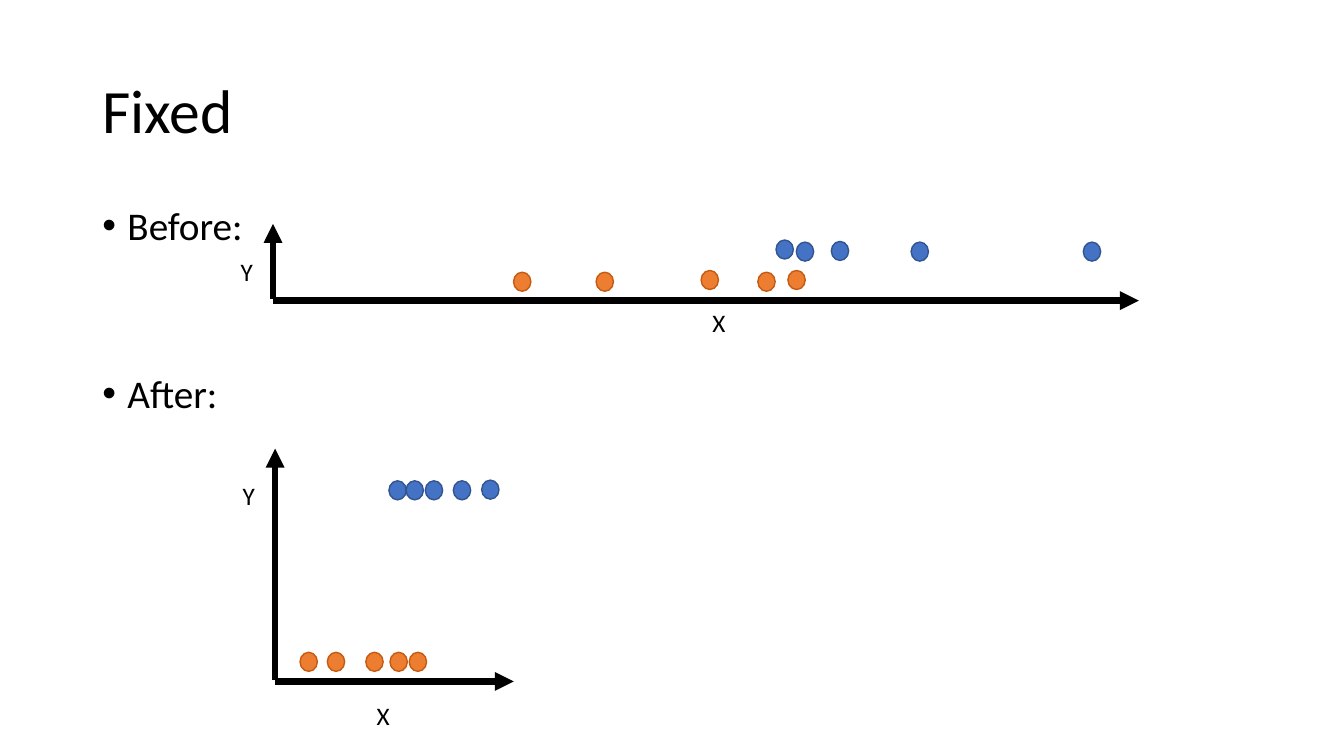
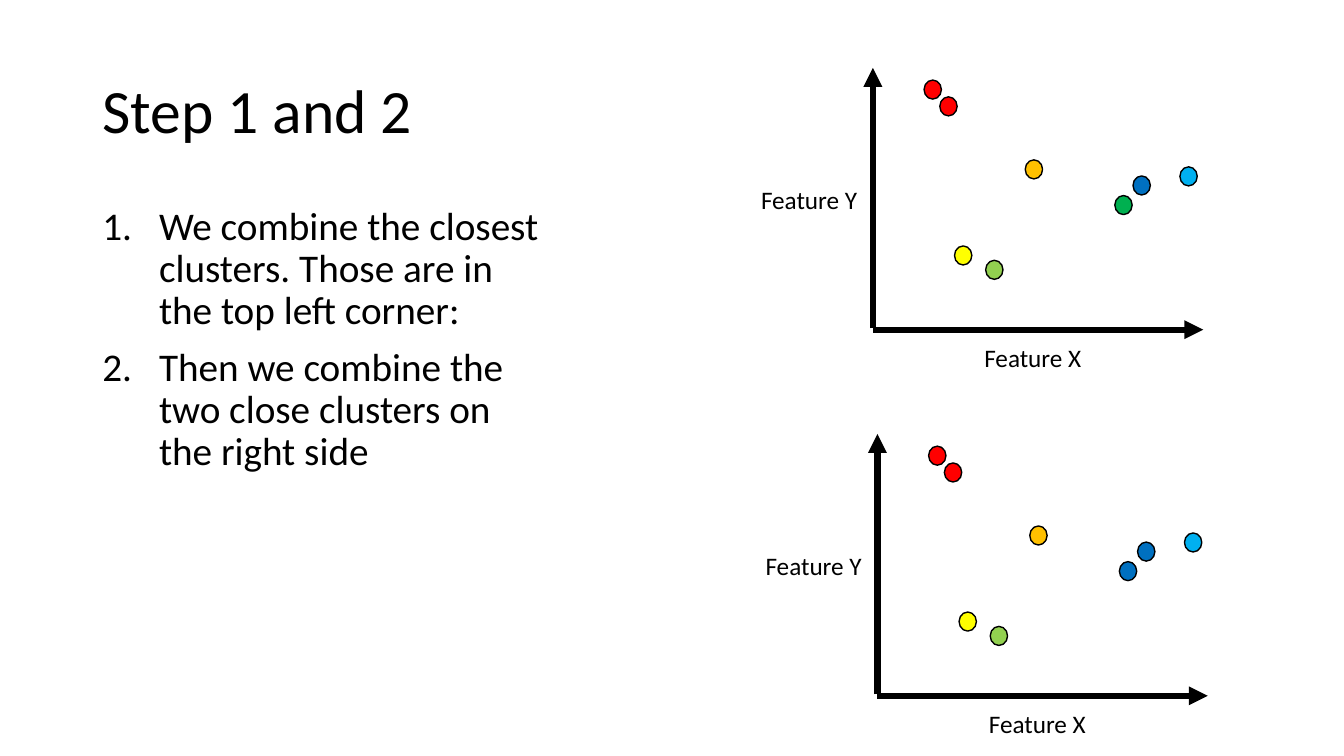
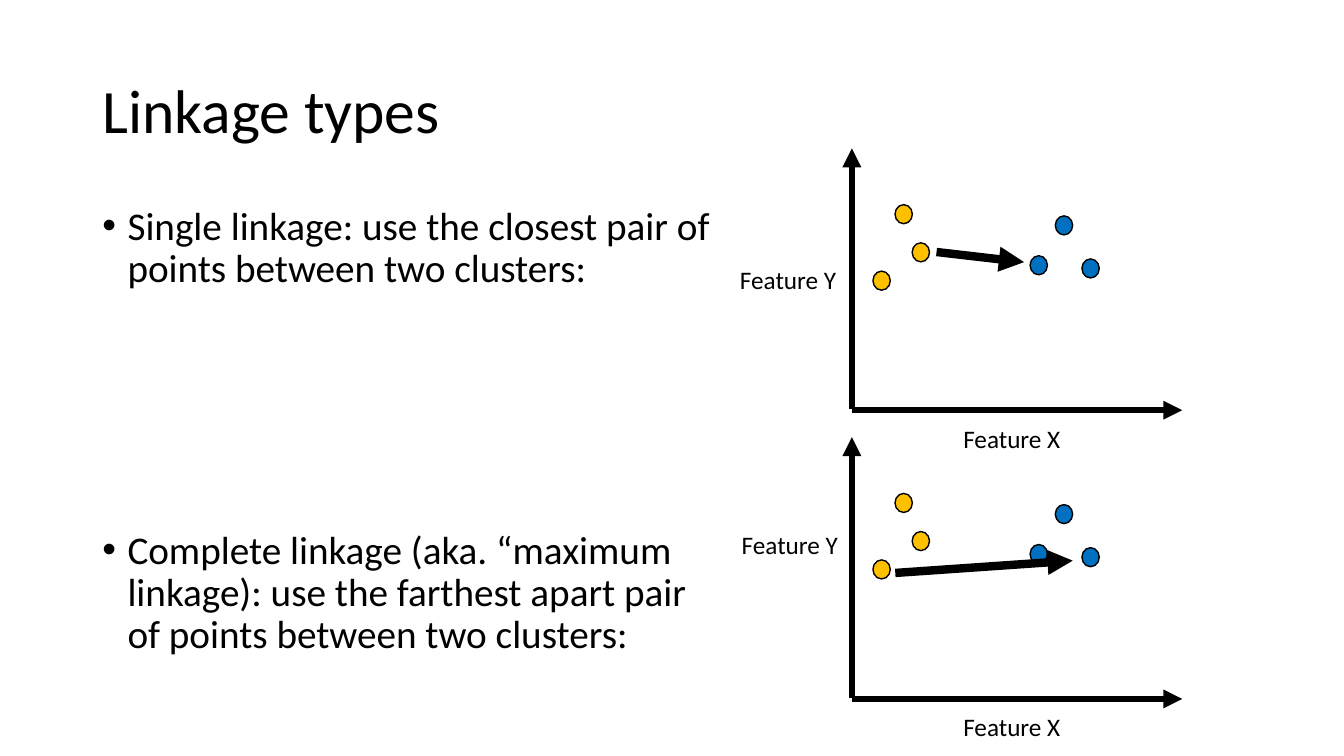
from dataclasses import dataclass

from lxml.etree import SubElement
from pptx import Presentation
from pptx.dml.color import RGBColor
from pptx.enum.shapes import MSO_CONNECTOR, MSO_SHAPE
from pptx.enum.text import MSO_ANCHOR
from pptx.oxml.ns import qn
from pptx.util import Pt

FONT = "Calibri"
BLACK = RGBColor(0x00, 0x00, 0x00)
RED = RGBColor(0xFF, 0x00, 0x00)
AMBER = RGBColor(0xFF, 0xC0, 0x00)
YELLOW = RGBColor(0xFF, 0xFF, 0x00)
LIME = RGBColor(0x92, 0xD0, 0x50)
GREEN = RGBColor(0x00, 0xB0, 0x50)
SKY = RGBColor(0x00, 0xB0, 0xF0)
BLUE = RGBColor(0x00, 0x70, 0xC0)
SOFT_BLUE = RGBColor(0x44, 0x72, 0xC4)
SOFT_BLUE_EDGE = RGBColor(0x32, 0x54, 0x91)
ORANGE = RGBColor(0xED, 0x7D, 0x31)
ORANGE_EDGE = RGBColor(0xC5, 0x5A, 0x11)

DOT_WIDTH, DOT_HEIGHT = 12.4, 13.6
AXIS_WEIGHT, LINK_WEIGHT = 4.5, 6
BODY_GAP = 10
BULLET = ("buChar", {"char": "•"}, 18)
NUMBER = ("buAutoNum", {"type": "arabicPeriod"}, 40.5)


@dataclass
class Plot:
    left: float
    base: float
    width: float = 236
    height: float = 187
    x_name: str = "Feature X"
    y_name: str = "Feature Y"
    x_label: tuple = (72.5, -5.5)
    y_label: tuple = (-87, 107.5)

    def place(self, point):
        return self.left + point[0], self.base - point[1]


def add_text_box(slide, left, top, width, height):
    box = slide.shapes.add_textbox(Pt(left), Pt(top), Pt(width), Pt(height))
    box.text_frame.word_wrap = True
    return box.text_frame


def add_run(paragraph, text, size):
    run = paragraph.add_run()
    run.text = text
    run.font.name = FONT
    run.font.size = Pt(size)
    run.font.color.rgb = BLACK


def add_title(slide, text):
    frame = add_text_box(slide, 66, 28.75, 828, 104.4)
    frame.vertical_anchor = MSO_ANCHOR.MIDDLE
    paragraph = frame.paragraphs[0]
    paragraph.line_spacing = 0.9
    add_run(paragraph, text, 44)


def add_list(slide, width, marker, items):
    tag, attributes, indent = marker
    frame = add_text_box(slide, 66, 143.75, width, 342.6)
    for index, (text, gap) in enumerate(items):
        paragraph = frame.add_paragraph() if index else frame.paragraphs[0]
        paragraph.line_spacing = 0.9
        paragraph.space_before = Pt(gap)
        properties = paragraph._p.get_or_add_pPr()
        properties.set("marL", str(Pt(indent)))
        properties.set("indent", str(-Pt(indent)))
        if marker is BULLET:
            SubElement(properties, qn("a:buFont"), typeface="Arial")
        SubElement(properties, qn("a:" + tag), attributes)
        add_run(paragraph, text, 28)


def add_arrow(slide, start, end, weight):
    points = [Pt(value) for value in (*start, *end)]
    arrow = slide.shapes.add_connector(MSO_CONNECTOR.STRAIGHT, *points)
    arrow.line.color.rgb = BLACK
    arrow.line.width = Pt(weight)
    SubElement(arrow.line._get_or_add_ln(), qn("a:tailEnd"), type="triangle")
    SubElement(arrow._element.spPr, qn("a:effectLst"))


def add_dots(slide, plot, points, fill, edge=BLACK):
    for point in points:
        x, y = plot.place(point)
        dot = slide.shapes.add_shape(
            MSO_SHAPE.OVAL, Pt(x - DOT_WIDTH / 2), Pt(y - DOT_HEIGHT / 2),
            Pt(DOT_WIDTH), Pt(DOT_HEIGHT))
        dot.shadow.inherit = False
        dot.fill.solid()
        dot.fill.fore_color.rgb = fill
        dot.line.color.rgb = edge
        dot.line.width = Pt(1)


def add_axes(slide, plot):
    origin = plot.place((0, 0))
    add_arrow(slide, origin, plot.place((plot.width, 0)), AXIS_WEIGHT)
    add_arrow(slide, plot.place((0, 1)), plot.place((0, plot.height)), AXIS_WEIGHT)
    for name, position, width in ((plot.x_name, plot.x_label, 159),
                                  (plot.y_name, plot.y_label, 93)):
        frame = add_text_box(slide, *plot.place(position), width, 29)
        add_run(frame.paragraphs[0], name, 18)


def add_link(slide, plot, start, end):
    add_arrow(slide, plot.place(start), plot.place(end), LINK_WEIGHT)


def build_fixed(slide):
    add_title(slide, "Fixed")
    add_list(slide, 828, BULLET, [("Before:", BODY_GAP), ("After:", 90)])
    before = Plot(195, 214.75, 618.5, 54.75, "X", "Y", (306.75, -1.25), (-30.25, 35.25))
    after = Plot(196.5, 486.75, 170.5, 166.25, "X", "Y", (65.5, -10), (-30.25, 147))
    scatter = [
        (before,
         [(365.5, 36.5), (380, 35), (405, 35.5), (462, 35), (585, 35)],
         [(178, 13.5), (237, 13.5), (312, 14.75), (352.5, 13.5), (374, 14.75)]),
        (after,
         [(87.5, 136.5), (99.75, 136.5), (113.5, 136.5), (133.5, 136.5), (153.75, 137)],
         [(24, 14), (43.5, 14), (71, 14), (88.25, 14), (102, 14)]),
    ]
    for plot, upper, lower in scatter:
        add_dots(slide, plot, upper, SOFT_BLUE, SOFT_BLUE_EDGE)
        add_dots(slide, plot, lower, ORANGE, ORANGE_EDGE)
        add_axes(slide, plot)


def build_steps(slide):
    add_title(slide, "Step 1 and 2")
    add_list(slide, 331, NUMBER, [
        ("We combine the closest clusters. Those are in the top left corner:", BODY_GAP),
        ("Then we combine the two close clusters on the right side", BODY_GAP),
    ])
    for plot, neighbour in ((Plot(623.5, 235.5), GREEN), (Plot(626.75, 497), BLUE)):
        add_dots(slide, plot, [(42.75, 171.5), (54, 159.5)], RED)
        add_dots(slide, plot, [(115, 114.5)], AMBER)
        add_dots(slide, plot, [(179, 89)], neighbour)
        add_dots(slide, plot, [(225.5, 109.5)], SKY)
        add_dots(slide, plot, [(192, 103)], BLUE)
        add_dots(slide, plot, [(86.75, 42.75)], LIME)
        add_dots(slide, plot, [(64.5, 53)], YELLOW)
        add_axes(slide, plot)


def build_linkage(slide):
    add_title(slide, "Linkage types")
    add_list(slide, 455, BULLET, [
        ("Single linkage: use the closest pair of points between two clusters:", BODY_GAP),
        ("Complete linkage (aka. “maximum linkage): use the farthest apart pair "
         "of points between two clusters:", 171),
    ])
    single = Plot(608.5, 293)
    complete = Plot(608.5, 499.25, y_label=(-85.75, 124.75))
    links = ((single, (60.5, 113), (123, 105.75)),
             (complete, (31, 90), (157.75, 98.75)))
    for plot, start, end in links:
        add_dots(slide, plot, [(37, 140), (49.25, 112.75), (21.25, 92.5)], AMBER)
        add_dots(slide, plot, [(133.5, 103.5), (170.5, 101.25), (151.5, 132)], BLUE)
        add_axes(slide, plot)
        add_link(slide, plot, start, end)


def main():
    presentation = Presentation()
    presentation.slide_width = Pt(960)
    presentation.slide_height = Pt(540)
    for build in (build_fixed, build_steps, build_linkage):
        build(presentation.slides.add_slide(presentation.slide_layouts[6]))
    presentation.save("out.pptx")


if __name__ == "__main__":
    main()
